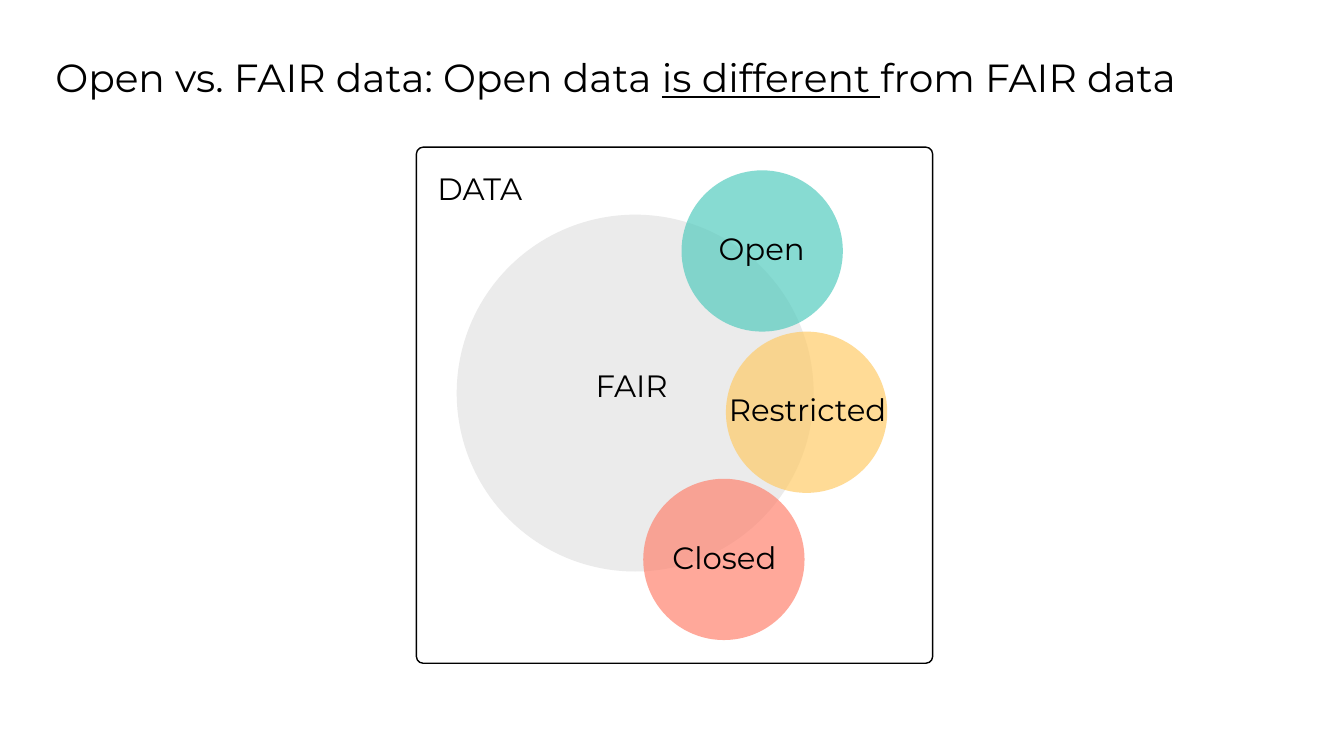
from dataclasses import dataclass

from lxml import etree
from pptx import Presentation
from pptx.dml.color import RGBColor
from pptx.enum.shapes import MSO_SHAPE as SHAPE
from pptx.enum.text import MSO_ANCHOR as ANCHOR, MSO_AUTO_SIZE as AUTO_SIZE, PP_ALIGN as ALIGN
from pptx.oxml.ns import qn
from pptx.util import Inches, Pt


@dataclass(frozen=True)
class Theme:
    font: str = "Montserrat"
    title_size: int = 28
    label_size: int = 22
    ink: str = "000000"
    fair: str = "EBEBEB"
    open: str = "52CBBE"
    restricted: str = "FFCB67"
    closed: str = "FF826E"
    overlap_alpha: int = 69


class SlideBuilder:
    def __init__(self, prs, theme):
        self.theme = theme
        self.slide = prs.slides.add_slide(prs.slide_layouts[5])

    def style(self, p, size):
        p.alignment = ALIGN.LEFT
        p.font.name = self.theme.font
        p.font.size = Pt(size)
        p.font.color.rgb = RGBColor.from_string(self.theme.ink)

    def title(self, runs, left, top, width, height):
        """Fill the title from (text, underlined) pairs."""
        sp = self.slide.shapes.title
        sp.left, sp.top, sp.width, sp.height = map(Inches, (left, top, width, height))
        tf = sp.text_frame
        tf.auto_size = AUTO_SIZE.NONE
        tf.vertical_anchor = ANCHOR.TOP
        p = tf.paragraphs[0]
        self.style(p, self.theme.title_size)
        for text, underlined in runs:
            r = p.add_run()
            r.text = text
            if underlined:
                r.font.underline = True

    def label(self, text, left, top, width, height=0.5):
        sp = self.slide.shapes.add_textbox(*map(Inches, (left, top, width, height)))
        tf = sp.text_frame
        tf.word_wrap = True
        p = tf.paragraphs[0]
        p.text = text
        self.style(p, self.theme.label_size)

    def circle(self, color, left, top, diameter, alpha=100):
        sp = self.slide.shapes.add_shape(
            SHAPE.OVAL, *map(Inches, (left, top, diameter, diameter)))
        sp.shadow.inherit = False
        sp.line.fill.background()
        sp.fill.solid()
        sp.fill.fore_color.rgb = RGBColor.from_string(color)
        if alpha < 100:
            clr = sp.fill._xPr.find(f".//{qn('a:srgbClr')}")
            etree.SubElement(clr, qn("a:alpha"), val=str(alpha * 1000))

    def frame(self, left, top, side):
        sp = self.slide.shapes.add_shape(
            SHAPE.ROUNDED_RECTANGLE, *map(Inches, (left, top, side, side)))
        sp.adjustments[0] = 0.013
        sp.shadow.inherit = False
        sp.fill.background()
        sp.line.color.rgb = RGBColor.from_string(self.theme.ink)
        sp.line.width = Pt(1)


def main():
    prs = Presentation()
    prs.slide_width, prs.slide_height = Inches(13.33), Inches(7.5)
    theme = Theme()
    s = SlideBuilder(prs, theme)

    s.title([("Open vs. FAIR data: Open data ", False),
             ("is different ", True),
             ("from FAIR data", False)], 0.45, 0.48, 12.46, 0.57)
    s.label("DATA", 4.24, 1.63, 1.29)

    s.circle(theme.fair, 4.53, 2.13, 3.54)
    for color, left, top in ((theme.open, 6.76, 1.69),
                             (theme.restricted, 7.2, 3.29),
                             (theme.closed, 6.38, 4.75)):
        s.circle(color, left, top, 1.6, theme.overlap_alpha)

    for text, left, top, width in (("FAIR", 5.81, 3.59, 1.16),
                                   ("Open", 7.03, 2.23, 1.21),
                                   ("Restricted", 7.13, 3.83, 2.02),
                                   ("Closed", 6.57, 5.3, 1.36)):
        s.label(text, left, top, width)
    s.frame(4.13, 1.46, 5.12)

    prs.save("out.pptx")


if __name__ == "__main__":
    main()
